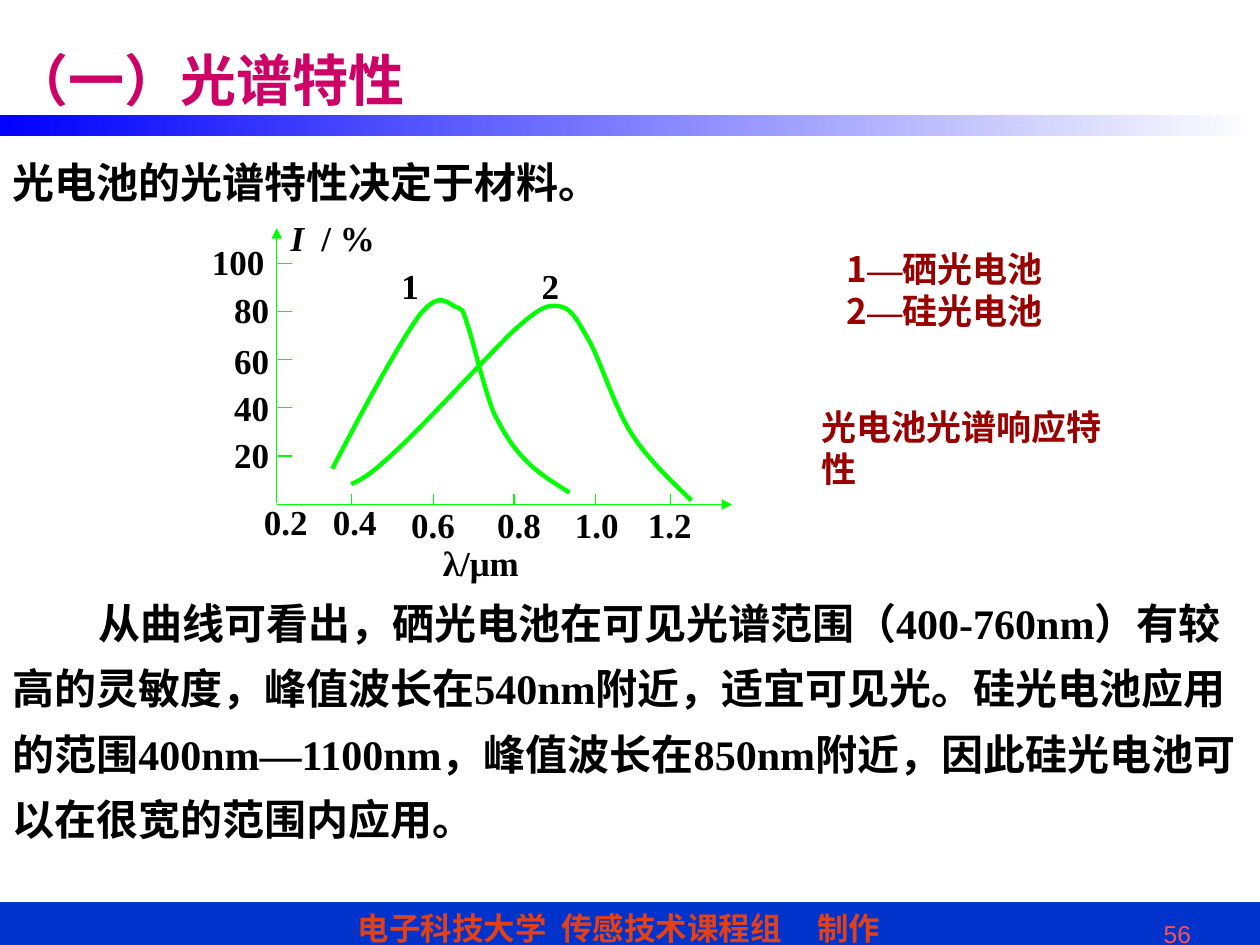
import lxml.etree
import pptx
import pptx.dml.color
import pptx.enum.shapes
import pptx.enum.text
import pptx.oxml.ns
import pptx.util

Cm = pptx.util.Cm
Pt = pptx.util.Pt
qn = pptx.oxml.ns.qn
ALIGN = pptx.enum.text.PP_ALIGN

COLORS = {
    "title": "CC0066", "ink": "000000", "note": "990000", "plot": "00FF00",
    "footer": "0033CC", "credit": "E34115", "number": "FF5050",
    "band_start": "0000FF", "band_end": "FFFFFF",
}
SERIF, CJK = "Times New Roman", "Noto Sans CJK SC"

LABEL = {"name": SERIF, "size": Pt(20), "bold": True}
BODY = {"name": SERIF, "size": Pt(24), "bold": True}
NOTE = {"name": CJK, "size": Pt(20), "bold": True}
TITLE = {"name": CJK, "size": Pt(32), "bold": True}
CREDIT = {"name": "Arial", "size": Pt(18), "bold": True}
NUMBER = {"name": "Arial", "size": Pt(14)}

# Bezier points in cm from the top left of the plot: a start, then three per segment
SELENIUM = [
    (1.14, 4.85), (1.8, 3.58), (2.49, 2.31), (2.9, 1.75),
    (3.33, 1.22), (3.48, 1.55), (3.66, 1.6), (3.81, 1.65), (3.78, 1.73), (3.91, 2.08),
    (4.01, 2.44), (4.22, 3.28), (4.39, 3.71), (4.6, 4.14), (4.78, 4.42), (5.03, 4.67),
    (5.28, 4.95), (5.77, 5.23), (5.92, 5.33),
]
SILICON = [
    (1.52, 5.16), (1.7, 5.08), (1.88, 5), (2.41, 4.5),
    (2.97, 3.99), (4.27, 2.57), (4.8, 2.06), (5.36, 1.57), (5.46, 1.55), (5.69, 1.57),
    (5.94, 1.6), (6.05, 1.8), (6.3, 2.24), (6.55, 2.67), (6.83, 3.63), (7.19, 4.17),
    (7.54, 4.72), (8.15, 5.26), (8.38, 5.49),
]


def rgb(key):
    return pptx.dml.color.RGBColor.from_string(COLORS[key])


def add_run(paragraph, text, style, color):
    run = paragraph.add_run()
    run.text = text
    for attribute, value in style.items():
        setattr(run.font, attribute, value)
    run.font.color.rgb = rgb(color)
    lxml.etree.SubElement(run.font._element, qn("a:ea"), typeface=CJK)


def add_tabs(paragraph, stops):
    tabs = lxml.etree.SubElement(paragraph._p.get_or_add_pPr(), qn("a:tabLst"))
    for stop in stops:
        lxml.etree.SubElement(tabs, qn("a:tab"), pos=str(int(Cm(stop))), algn="l")


def add_text(slide, box, runs, color, grow=False, wrap=True, **layout):
    """Put (text, style) runs into one paragraph of a new text box."""
    frame = slide.shapes.add_textbox(*map(Cm, box)).text_frame
    frame.word_wrap = wrap
    if grow:
        frame.auto_size = pptx.enum.text.MSO_AUTO_SIZE.SHAPE_TO_FIT_TEXT
    paragraph = frame.paragraphs[0]
    for attribute, value in layout.items():
        setattr(paragraph, attribute, value)
    for text, style in runs:
        add_run(paragraph, text, style, color)
    return frame


def add_line(slide, start, end, arrow=False):
    line = slide.shapes.add_connector(
        pptx.enum.shapes.MSO_CONNECTOR.STRAIGHT, *map(Cm, (*start, *end)))
    line.line.color.rgb = rgb("plot")
    line.line.width = Pt(0.75)
    if arrow:
        lxml.etree.SubElement(line.line._get_or_add_ln(), qn("a:tailEnd"), type="triangle")
    lxml.etree.SubElement(line._element.spPr, qn("a:effectLst"))


def add_curve(slide, left, top, points):
    """Draw an open outline and turn each three of its line segments into a Bezier."""
    start, *rest = [(Cm(left + x), Cm(top + y)) for x, y in points]
    builder = slide.shapes.build_freeform(*start)
    builder.add_line_segments(rest, close=False)
    curve = builder.convert_to_shape()
    segments = list(curve._element.iter(qn("a:lnTo")))
    outline = segments[0].getparent()
    for i in range(0, len(segments), 3):
        bezier = lxml.etree.SubElement(outline, qn("a:cubicBezTo"))
        for segment in segments[i:i + 3]:
            bezier.append(segment[0])
            outline.remove(segment)
    curve.shadow.inherit = False
    curve.fill.background()
    curve.line.color.rgb = rgb("plot")
    curve.line.width = Pt(2.5)


def add_bar(slide, box):
    bar = slide.shapes.add_shape(pptx.enum.shapes.MSO_SHAPE.RECTANGLE, *map(Cm, box))
    bar.shadow.inherit = False
    return bar


def add_header(slide, left, top, width):
    band = add_bar(slide, (left, top + 2.31, width, 0.43))
    band.line.fill.background()
    band.fill.gradient()
    band.fill.gradient_angle = 0
    for stop, position, key in zip(
            band.fill.gradient_stops, (0, 1), ("band_start", "band_end")):
        stop.position = position
        stop.color.rgb = rgb(key)
    title = add_text(slide, (left, top, 11.23, 3.18), [("（一）光谱特性", TITLE)], "title")
    title.vertical_anchor = pptx.enum.text.MSO_ANCHOR.MIDDLE


def add_footer(slide, left, top, width):
    bar = add_bar(slide, (left, top, width, 1.02))
    bar.fill.solid()
    bar.fill.fore_color.rgb = bar.line.color.rgb = rgb("footer")
    bar.line.width = Pt(0.75)
    frame = bar.text_frame
    frame.margin_left = Cm(7.21)
    frame.vertical_anchor = pptx.enum.text.MSO_ANCHOR.TOP
    credit = frame.paragraphs[0]
    credit.alignment = ALIGN.LEFT
    add_tabs(credit, (4.11, 9.27))
    add_run(credit, "电子科技大学\t传感技术课程组\t制作", CREDIT, "credit")
    add_text(slide, (left + 17.91, top + 0.2, 6.35, 0.66), [("56", NUMBER)], "number",
             alignment=ALIGN.RIGHT)


def add_plot(slide, left, top):
    """Draw the spectral response plot, its top left at the tip of the upright axis."""
    def label(x, y, text, width=1.8):
        add_text(slide, (left + x, top + y, width, 1.1), [(text, LABEL)], "ink")

    percents = (("100", -1.54, 0.13), ("80", -1.09, 1.09), ("60", -1.09, 2.11),
                ("40", -1.09, 3.07), ("20", -1.09, 4.01))
    for i, (text, x, y) in enumerate(percents):
        tick = top + 0.71 + 0.97 * i
        add_line(slide, (left + 0.05, tick), (left + 0.33, tick))
        label(x, y, text)
    for x in (1.52, 3.18, 4.8, 6.45, 7.95):
        add_line(slide, (left + x, top + 5.36), (left + x, top + 5.59))
    wavelengths = (("0.2", -0.49, 5.36), ("0.4", 0.9, 5.36), ("0.6", 2.48, 5.42),
                   ("0.8", 4.21, 5.42), ("1.0", 5.78, 5.42), ("1.2", 7.25, 5.42))
    for text, x, y in wavelengths:
        label(x, y, text)

    for number, x, curve in (("1", 2.28, SELENIUM), ("2", 5.11, SILICON)):
        add_curve(slide, left, top, curve)
        label(x, 0.61, number)

    add_line(slide, (left + 0.02, top + 5.54), (left + 0.02, top), arrow=True)
    add_line(slide, (left + 0.03, top + 5.57), (left + 9.2, top + 5.57), arrow=True)
    label(3.12, 6.2, "λ/μm", 3.2)
    current = add_text(slide, (left + 0.05, top - 0.36, 2.6, 1),
                       [("I", {**LABEL, "italic": True}), ("\t/ %", LABEL)], "ink")
    add_tabs(current.paragraphs[0], (0.62,))


def add_legend(slide, left, top):
    frame = add_text(slide, (left + 0.51, top, 4.62, 1.96), [], "note", grow=True, wrap=False)
    for i, material in enumerate(("硒光电池", "硅光电池")):
        entry = frame.add_paragraph() if i else frame.paragraphs[0]
        for text, style in ((str(i + 1), NOTE), ("—", LABEL), (material, NOTE)):
            add_run(entry, text, style, "note")
    add_text(slide, (left, top + 3.18, 6.86, 1.12), [("光电池光谱响应特性", NOTE)],
             "note", grow=True, wrap=False)


def add_body(slide, box, text, indent=0):
    frame = add_text(slide, box, [(text, BODY)], "ink", grow=True, line_spacing=1.3)
    frame.paragraphs[0]._p.get_or_add_pPr().set("indent", str(int(Cm(indent))))


def main():
    deck = pptx.Presentation()
    deck.slide_width, deck.slide_height = Cm(25.4), Cm(19.05)
    slide = deck.slides.add_slide(deck.slide_layouts[6])
    add_footer(slide, 0, 18.2, 25.4)
    add_header(slide, 0, 0, 25.4)
    add_plot(slide, 5.56, 4.6)
    add_body(slide, (0, 2.72, 25.4, 1.57), "光电池的光谱特性决定于材料。")
    add_legend(slide, 16.31, 4.87)
    add_body(slide, (0, 11.61, 25.4, 5.54),
             "从曲线可看出，硒光电池在可见光谱范围（400-760nm）有较高的灵敏度，"
             "峰值波长在540nm附近，适宜可见光。硅光电池应用的范围400nm—1100nm，"
             "峰值波长在850nm附近，因此硅光电池可以在很宽的范围内应用。", indent=1.73)
    deck.save("out.pptx")


if __name__ == "__main__":
    main()
